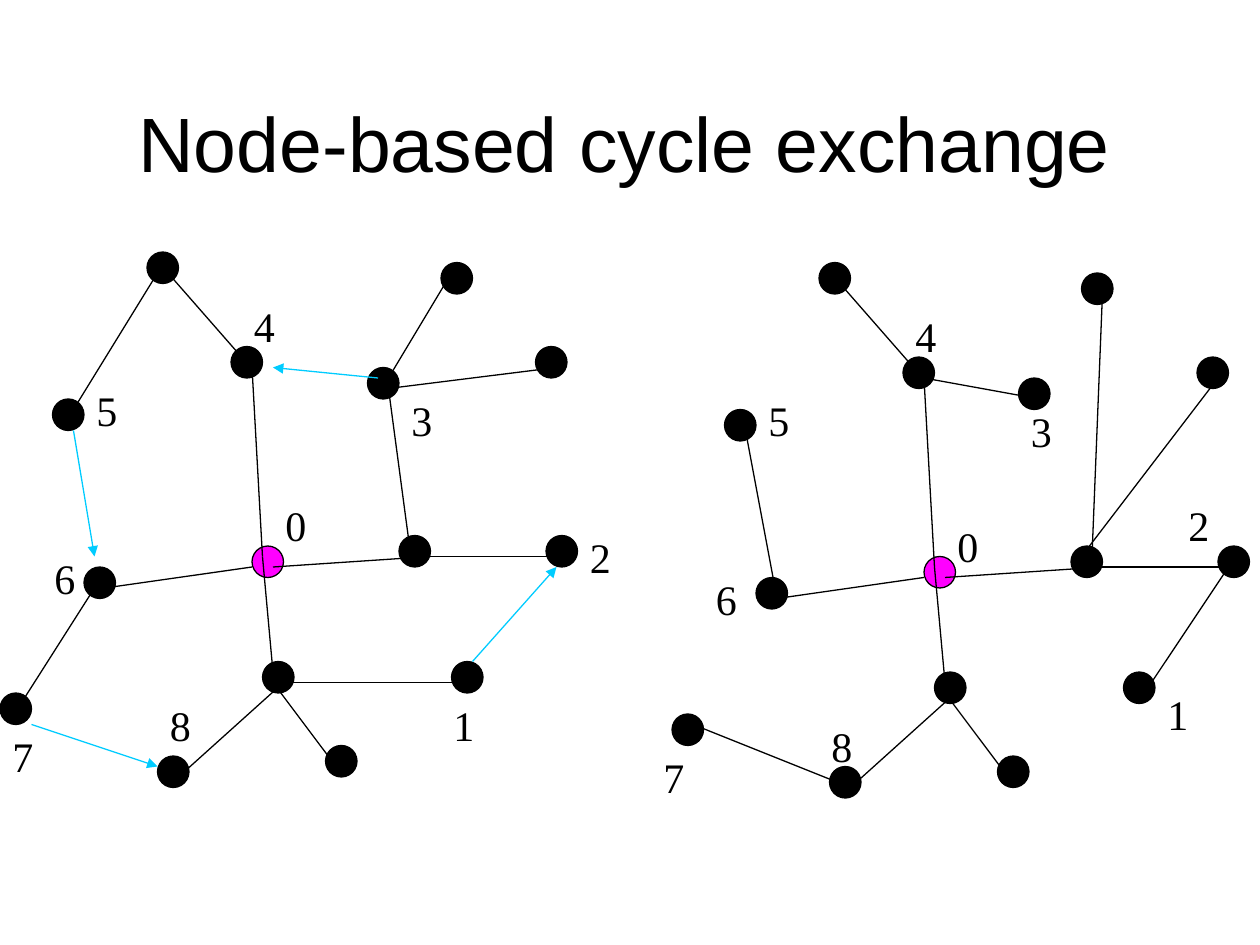
"""Draw two trees that show a node-based cycle exchange, before and after."""
from dataclasses import dataclass
from typing import NamedTuple

from lxml import etree
from pptx import Presentation
from pptx import util as u
from pptx.dml.color import RGBColor
from pptx.enum import shapes, text
from pptx.oxml.ns import qn


@dataclass(frozen=True)
class Theme:
    ink: RGBColor = RGBColor(0x00, 0x00, 0x00)
    hub: RGBColor = RGBColor(0xFF, 0x00, 0xFF)
    move: RGBColor = RGBColor(0x00, 0xCC, 0xFF)
    head: str = "Arial"
    body: str = "Times New Roman"
    big: int = 44
    small: int = 24
    line: float = 0.75
    dot: int = 3


class Edge(NamedTuple):
    x1: int
    y1: int
    x2: int
    y2: int


class Label(NamedTuple):
    word: str
    x: int
    y: int


class Tree(NamedTuple):
    hub: tuple[int, int]
    dots: list[tuple[int, int]]
    edges: list[Edge]
    moves: list[Edge]
    labels: list[Label]


THEME = Theme()

BEFORE = Tree(
    hub=(24, 52),
    dots=[(42, 25), (5, 38), (8, 54), (14, 24), (22, 33), (38, 51), (35, 35),
          (51, 33), (25, 63), (15, 72), (0, 66), (43, 63), (52, 51), (31, 71)],
    edges=[Edge(27, 65, 44, 65), Edge(26, 54, 41, 53), Edge(40, 53, 53, 53),
           Edge(25, 53, 24, 35), Edge(23, 34, 16, 26), Edge(15, 26, 7, 39),
           Edge(25, 53, 26, 64), Edge(17, 74, 27, 65), Edge(26, 65, 32, 73),
           Edge(10, 56, 24, 54), Edge(9, 56, 2, 67), Edge(39, 52, 37, 37),
           Edge(37, 36, 43, 26), Edge(37, 37, 53, 35)],
    moves=[Edge(45, 63, 53, 54), Edge(7, 41, 9, 53),
           Edge(3, 69, 15, 73), Edge(36, 36, 26, 35)],
    labels=[Label("0", 26, 47), Label("1", 42, 66), Label("2", 55, 50),
            Label("3", 38, 37), Label("4", 23, 28), Label("5", 8, 36),
            Label("6", 4, 52), Label("7", 0, 69), Label("8", 15, 66)],
)

AFTER = Tree(
    hub=(88, 53),
    dots=[(103, 26), (69, 39), (72, 55), (78, 25), (86, 34), (102, 52), (97, 36),
          (114, 34), (89, 64), (79, 73), (107, 64), (116, 52), (95, 72), (64, 68)],
    edges=[Edge(90, 55, 105, 54), Edge(104, 54, 117, 54), Edge(89, 54, 88, 36),
           Edge(87, 35, 80, 27), Edge(89, 54, 90, 65), Edge(81, 75, 91, 66),
           Edge(90, 66, 96, 74), Edge(74, 57, 88, 55), Edge(66, 69, 81, 75),
           Edge(109, 66, 117, 54), Edge(88, 36, 99, 38), Edge(105, 28, 104, 53),
           Edge(71, 41, 74, 57), Edge(103, 53, 116, 36)],
    moves=[],
    labels=[Label("0", 90, 49), Label("1", 110, 65), Label("2", 112, 47),
            Label("3", 97, 38), Label("4", 86, 29), Label("5", 72, 37),
            Label("6", 67, 54), Label("7", 62, 71), Label("8", 78, 68)],
)


def step(n: float) -> u.Length:
    """Turn grid steps, twelve to the inch, into a length."""
    return u.Cm(n * 2.54 / 12)


def write(slide, words: str, x: float, y: float, wide: float, high: float, *,
          size: int, font: str, wrap: bool = False) -> None:
    """Place centred text in a box."""
    box = slide.shapes.add_textbox(*map(step, (x, y, wide, high)))
    frame = box.text_frame
    frame.word_wrap = wrap
    if not wrap:
        frame.auto_size = text.MSO_AUTO_SIZE.SHAPE_TO_FIT_TEXT
    frame.vertical_anchor = text.MSO_ANCHOR.MIDDLE if wrap else text.MSO_ANCHOR.TOP
    para = frame.paragraphs[0]
    para.alignment = text.PP_ALIGN.CENTER
    run = para.add_run()
    run.text = words
    run.font.size = u.Pt(size)
    run.font.name = font
    run.font.color.rgb = THEME.ink


def draw_dot(slide, x: int, y: int, fill: RGBColor) -> None:
    """Draw one node of a tree."""
    dot = slide.shapes.add_shape(shapes.MSO_SHAPE.OVAL,
                                 *map(step, (x, y, THEME.dot, THEME.dot)))
    dot.shadow.inherit = False
    dot.fill.solid()
    dot.fill.fore_color.rgb = fill
    dot.line.color.rgb = THEME.ink
    dot.line.width = u.Pt(THEME.line)


def draw_edge(slide, edge: Edge, tint: RGBColor, arrow: bool = False) -> None:
    """Draw a straight line, with an arrowhead at its end if asked."""
    link = slide.shapes.add_connector(shapes.MSO_CONNECTOR.STRAIGHT, *map(step, edge))
    link.line.color.rgb = tint
    link.line.width = u.Pt(THEME.line)
    props = link._element.spPr
    if arrow:
        etree.SubElement(props.find(qn("a:ln")), qn("a:tailEnd"), type="triangle")
    etree.SubElement(props, qn("a:effectLst"))


def draw_tree(slide, tree: Tree) -> None:
    """Draw the nodes, edges, moves and labels of a tree."""
    for x, y in tree.dots:
        draw_dot(slide, x, y, THEME.ink)
    draw_dot(slide, *tree.hub, THEME.hub)
    for edge in tree.edges:
        draw_edge(slide, edge, THEME.ink)
    for edge in tree.moves:
        draw_edge(slide, edge, THEME.move, arrow=True)
    for label in tree.labels:
        write(slide, *label, 4.3, 6, size=THEME.small, font=THEME.body)


def main() -> None:
    """Build the slide and save it."""
    deck = Presentation()
    deck.slide_width, deck.slide_height = u.Cm(25.4), u.Cm(19.05)
    slide = deck.slides.add_slide(deck.slide_layouts[6])
    write(slide, "Node-based cycle exchange", 3, 6, 113, 15,
          size=THEME.big, font=THEME.head, wrap=True)
    for tree in (BEFORE, AFTER):
        draw_tree(slide, tree)
    deck.save("out.pptx")


if __name__ == "__main__":
    main()
